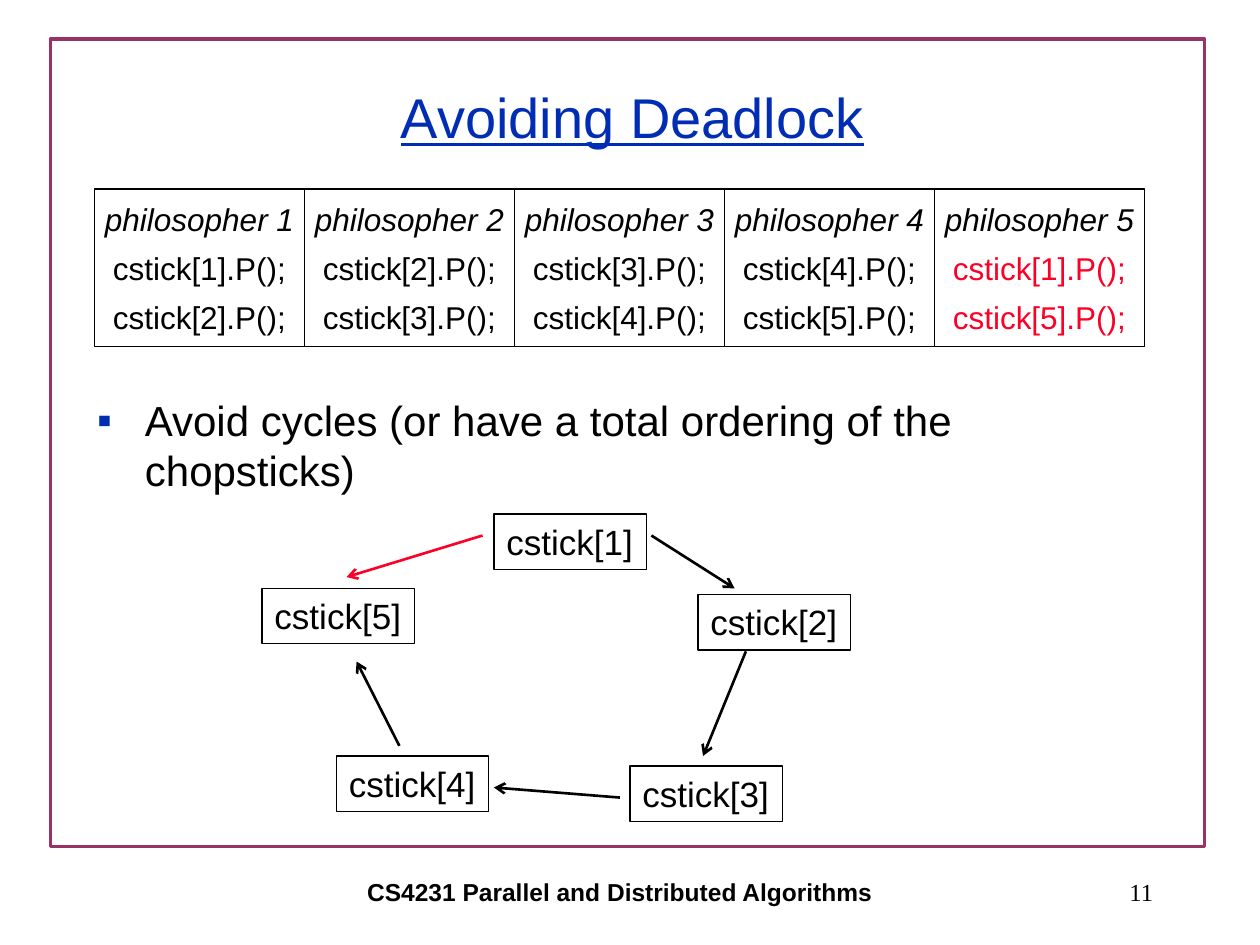
from dataclasses import dataclass
from typing import Optional

from lxml.etree import SubElement
from pptx import Presentation
from pptx.dml.color import RGBColor
from pptx.enum.shapes import MSO_CONNECTOR, MSO_SHAPE
from pptx.enum.text import MSO_ANCHOR, MSO_AUTO_SIZE, PP_ALIGN
from pptx.oxml.ns import qn
from pptx.util import Inches, Pt


@dataclass(frozen=True)
class Theme:
    ink: str = "000000"
    blue: str = "002DB4"
    red: str = "FC0128"
    frame: str = "993366"
    sans: str = "Arial"
    serif: str = "Times New Roman"
    title_size: int = 32
    body_size: int = 24
    node_size: int = 20
    column_size: int = 18
    footer_size: int = 14
    paragraph_gap: float = 6.2
    thin: float = 0.75
    arrow: float = 1.5
    border: float = 2


@dataclass(frozen=True)
class Box:
    left: float
    top: float
    width: float
    height: float

    def lengths(self) -> tuple:
        return tuple(Inches(value) for value in (self.left, self.top, self.width, self.height))


@dataclass(frozen=True)
class Node:
    number: int
    left: float
    top: float


@dataclass(frozen=True)
class Arrow:
    start: tuple[float, float]
    end: tuple[float, float]
    color: str


THEME = Theme()
STICK_COUNT = 5
COLUMN_LEFT, COLUMN_TOP, COLUMN_WIDTH, COLUMN_HEIGHT = 0.75, 1.5, 5 / 3, 1.25
NODE_WIDTH, NODE_HEIGHT = 1.21, 0.44

NODES = [
    Node(1, 3.92, 4.08),
    Node(2, 5.54, 4.72),
    Node(5, 2.08, 4.67),
    Node(4, 2.67, 6),
    Node(3, 5, 6.08),
]
ARROWS = [
    Arrow((5.17, 4.25), (5.83, 4.67), THEME.ink),
    Arrow((5.92, 5.17), (5.58, 6), THEME.ink),
    Arrow((4.92, 6.33), (3.92, 6.25), THEME.ink),
    Arrow((3.17, 5.92), (2.83, 5.25), THEME.ink),
    Arrow((3.83, 4.25), (2.75, 4.58), THEME.red),
]


def format_paragraph(paragraph, size: float, color: str = THEME.ink, font_name: str = THEME.sans,
                     align: PP_ALIGN = PP_ALIGN.LEFT, bold: bool = False,
                     italic: bool = False, underline: bool = False) -> None:
    """Align a paragraph and format its runs."""
    paragraph.alignment = align
    for run in paragraph.runs:
        font = run.font
        font.name, font.size = font_name, Pt(size)
        font.bold, font.italic, font.underline = bold, italic, underline
        font.color.rgb = RGBColor.from_string(color)


def add_outline(slide, box: Box, color: str = THEME.ink, width: float = THEME.thin):
    """Add an unfilled rectangle."""
    shape = slide.shapes.add_shape(MSO_SHAPE.RECTANGLE, *box.lengths())
    shape.shadow.inherit = False
    shape.fill.background()
    shape.line.color.rgb = RGBColor.from_string(color)
    shape.line.width = Pt(width)
    return shape


def add_footer(slide, box: Box, text: str, font_name: str, align: PP_ALIGN, bold: bool = False) -> None:
    """Add one line of footer text."""
    text_frame = slide.shapes.add_textbox(*box.lengths()).text_frame
    text_frame.text = text
    text_frame.word_wrap = False
    text_frame.vertical_anchor = MSO_ANCHOR.MIDDLE
    format_paragraph(text_frame.paragraphs[0], THEME.footer_size, font_name=font_name, align=align, bold=bold)


def fill_placeholder(placeholder, box: Box, text: str, anchor: MSO_ANCHOR):
    """Place a template placeholder and return its paragraph."""
    placeholder.left, placeholder.top, placeholder.width, placeholder.height = box.lengths()
    text_frame = placeholder.text_frame
    text_frame.text = text
    text_frame.word_wrap = True
    text_frame.auto_size = MSO_AUTO_SIZE.NONE
    text_frame.vertical_anchor = anchor
    return text_frame.paragraphs[0]


def add_bullet(paragraph, character: str, color: str, indent: float) -> None:
    """Give a paragraph a coloured bullet and a hanging indent."""
    properties = paragraph._p.get_or_add_pPr()
    properties.set("marL", str(Inches(indent)))
    properties.set("indent", str(-Inches(indent)))
    bullet_color = SubElement(properties, qn("a:buClr"))
    SubElement(bullet_color, qn("a:srgbClr"), val=color)
    SubElement(properties, qn("a:buFont"), typeface=THEME.sans)
    SubElement(properties, qn("a:buChar"), char=character)
    paragraph.space_before = Pt(0)


def add_philosopher(slide, number: int) -> None:
    """Add one philosopher column, the last taking its chopsticks in order."""
    left = COLUMN_LEFT + (number - 1) * COLUMN_WIDTH
    shape = add_outline(slide, Box(left, COLUMN_TOP, COLUMN_WIDTH, COLUMN_HEIGHT))
    is_last = number == STICK_COUNT
    sticks = sorted((number, number % STICK_COUNT + 1))
    text_frame = shape.text_frame
    text_frame.text = "\n".join([f"philosopher {number}", *(f"cstick[{stick}].P();" for stick in sticks)])
    text_frame.word_wrap = False
    text_frame.vertical_anchor = MSO_ANCHOR.MIDDLE
    for index, paragraph in enumerate(text_frame.paragraphs):
        color = THEME.red if is_last and index else THEME.ink
        format_paragraph(paragraph, THEME.column_size, color, align=PP_ALIGN.CENTER, italic=index == 0)
        paragraph.space_before = Pt(THEME.paragraph_gap if index else 0)


def add_node(slide, node: Node) -> None:
    """Add one chopstick of the ordering graph."""
    shape = add_outline(slide, Box(node.left, node.top, NODE_WIDTH, NODE_HEIGHT))
    text_frame = shape.text_frame
    text_frame.text = f"cstick[{node.number}]"
    text_frame.word_wrap = False
    text_frame.auto_size = MSO_AUTO_SIZE.SHAPE_TO_FIT_TEXT
    text_frame.vertical_anchor = MSO_ANCHOR.TOP
    format_paragraph(text_frame.paragraphs[0], THEME.node_size)


def add_arrow(slide, arrow: Arrow) -> None:
    """Add a straight line with an open arrowhead at its end."""
    points = (Inches(value) for value in (*arrow.start, *arrow.end))
    connector = slide.shapes.add_connector(MSO_CONNECTOR.STRAIGHT, *points)
    connector.line.color.rgb = RGBColor.from_string(arrow.color)
    connector.line.width = Pt(THEME.arrow)
    SubElement(connector.line._get_or_add_ln(), qn("a:tailEnd"), type="arrow")
    SubElement(connector._element.spPr, qn("a:effectLst"))


def main() -> None:
    """Build and save the slide."""
    presentation = Presentation()
    presentation.slide_width, presentation.slide_height = Inches(10), Inches(7.5)
    slide = presentation.slides.add_slide(presentation.slide_layouts[1])

    add_outline(slide, Box(0.4, 0.31, 9.16, 6.41), THEME.frame, THEME.border)
    add_footer(slide, Box(1.42, 6.83, 7, 0.5), "CS4231 Parallel and Distributed Algorithms",
               THEME.sans, PP_ALIGN.CENTER, bold=True)
    add_footer(slide, Box(7.17, 6.83, 2.08, 0.5), "11", THEME.serif, PP_ALIGN.RIGHT)

    title = fill_placeholder(slide.shapes.title, Box(0.77, 0.46, 8.5, 0.92),
                             "Avoiding Deadlock", MSO_ANCHOR.MIDDLE)
    format_paragraph(title, THEME.title_size, THEME.blue, align=PP_ALIGN.CENTER, underline=True)
    body = fill_placeholder(slide.placeholders[1], Box(0.67, 3.08, 8.5, 1),
                            "Avoid cycles (or have a total ordering of the chopsticks)", MSO_ANCHOR.TOP)
    add_bullet(body, "▪", THEME.blue, 0.38)
    format_paragraph(body, THEME.body_size)

    for number in range(1, STICK_COUNT + 1):
        add_philosopher(slide, number)
    for node in NODES:
        add_node(slide, node)
    for arrow in ARROWS:
        add_arrow(slide, arrow)

    presentation.save("out.pptx")


if __name__ == "__main__":
    main()
